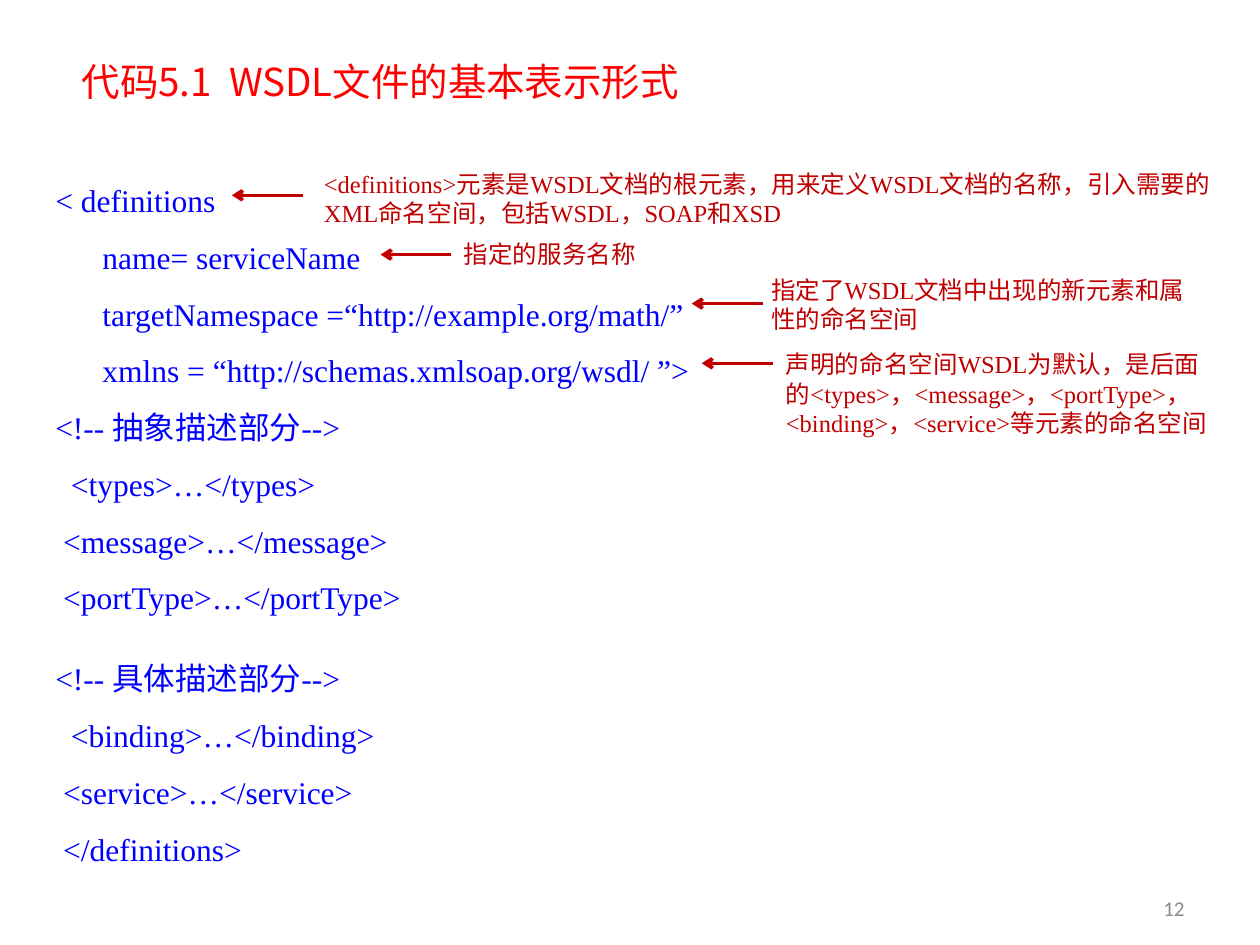
from dataclasses import dataclass

from lxml import etree
from pptx import Presentation
from pptx.dml.color import RGBColor
from pptx.enum import shapes, text
from pptx.oxml import ns
from pptx.util import Pt


@dataclass(frozen=True)
class Theme:
    serif: str = "Times New Roman"
    cjk: str = "Noto Sans CJK SC"
    sans: str = "Calibri"
    white: str = "FFFFFF"
    blue: str = "0000FF"
    red: str = "FF0000"
    dark: str = "C00000"
    gray: str = "8C8C8C"
    head: float = 22
    code: float = 18
    note: float = 14
    foot: float = 12


THEME = Theme()

CODE = [
    [
        "< definitions",
        "      name= serviceName",
        "      targetNamespace =“http://example.org/math/”",
        "      xmlns = “http://schemas.xmlsoap.org/wsdl/ ”>",
        "<!-- 抽象描述部分-->",
        "  <types>…</types>",
        " <message>…</message>",
        " <portType>…</portType>",
    ],
    [
        "<!-- 具体描述部分-->",
        "  <binding>…</binding>",
        " <service>…</service>",
        " </definitions>",
    ],
]

# Box of the note, offset of its arrow's tip from the box, words
NOTES = [
    ((178, 93, 528.5, 41), (-45.5, 18.6),
     "<definitions>元素是WSDL文档的根元素，用来定义WSDL文档的名称，"
     "引入需要的XML命名空间，包括WSDL，SOAP和XSD"),
    ((258, 133, 127.5, 24.5), (-40.5, 12.5), "指定的服务名称"),
    ((433.5, 153.5, 264, 41), (-38.2, 20),
     "指定了WSDL文档中出现的新元素和属性的命名空间"),
    ((442, 196, 264, 58), (-41, 11.6),
     "声明的命名空间WSDL为默认，是后面的<types>，<message>，<portType>，"
     "<binding>，<service>等元素的命名空间"),
]
ARROW = 40.5


def style(par, face, size, color):
    par.font.name = face
    par.font.size = Pt(size)
    par.font.color.rgb = RGBColor.from_string(color)


def label(slide, box, words, face, size, color):
    """Add a wrapping one-paragraph text box and return its frame."""
    frame = slide.shapes.add_textbox(*map(Pt, box)).text_frame
    frame.word_wrap = True
    par = frame.paragraphs[0]
    par.text = words
    style(par, face, size, color)
    return frame


def title(slide, box):
    label(slide, box, "代码5.1  WSDL文件的基本表示形式",
          THEME.cjk, THEME.head, THEME.red)


def listing(slide, box):
    """Set the code lines, with a gap between the two groups."""
    panel = slide.shapes.add_shape(shapes.MSO_SHAPE.RECTANGLE, *map(Pt, box))
    panel.shadow.inherit = False
    panel.fill.solid()
    panel.fill.fore_color.rgb = RGBColor.from_string(THEME.white)
    panel.line.fill.background()
    frame = panel.text_frame
    frame.word_wrap = True
    frame.vertical_anchor = text.MSO_ANCHOR.TOP
    lines = [line for group in CODE for line in group]
    for num, line in enumerate(lines):
        par = frame.add_paragraph() if num else frame.paragraphs[0]
        par.text = line
        par.alignment = text.PP_ALIGN.LEFT
        par.line_spacing = 1.5
        if num == len(CODE[0]):
            par.space_before = Pt(14)
        style(par, THEME.serif, THEME.code, THEME.blue)


def note(slide, box, tip, words):
    """Place a remark and the arrow from it to its line of code."""
    x, y = box[0] + tip[0], box[1] + tip[1]
    arrow = slide.shapes.add_connector(
        shapes.MSO_CONNECTOR.STRAIGHT, Pt(x + ARROW), Pt(y), Pt(x), Pt(y))
    arrow.line.color.rgb = RGBColor.from_string(THEME.dark)
    arrow.line.width = Pt(2)
    etree.SubElement(arrow.line._get_or_add_ln(), ns.qn("a:tailEnd"),
                     type="arrow")
    etree.SubElement(arrow._element.spPr, ns.qn("a:effectLst"))
    label(slide, box, words, THEME.serif, THEME.note, THEME.dark)


def number(slide, box):
    frame = label(slide, box, "12", THEME.sans, THEME.foot, THEME.gray)
    frame.vertical_anchor = text.MSO_ANCHOR.MIDDLE
    frame.paragraphs[0].alignment = text.PP_ALIGN.RIGHT


def main():
    deck = Presentation()
    deck.slide_width, deck.slide_height = Pt(720), Pt(540)
    slide = deck.slides.add_slide(deck.slide_layouts[6])
    listing(slide, (24.5, 89.3, 526.3, 414.7))
    title(slide, (39.6, 29.5, 374.4, 33.8))
    for box, tip, words in NOTES:
        note(slide, box, tip, words)
    number(slide, (516.2, 508.3, 167.8, 20.9))
    deck.save("out.pptx")


if __name__ == "__main__":
    main()
